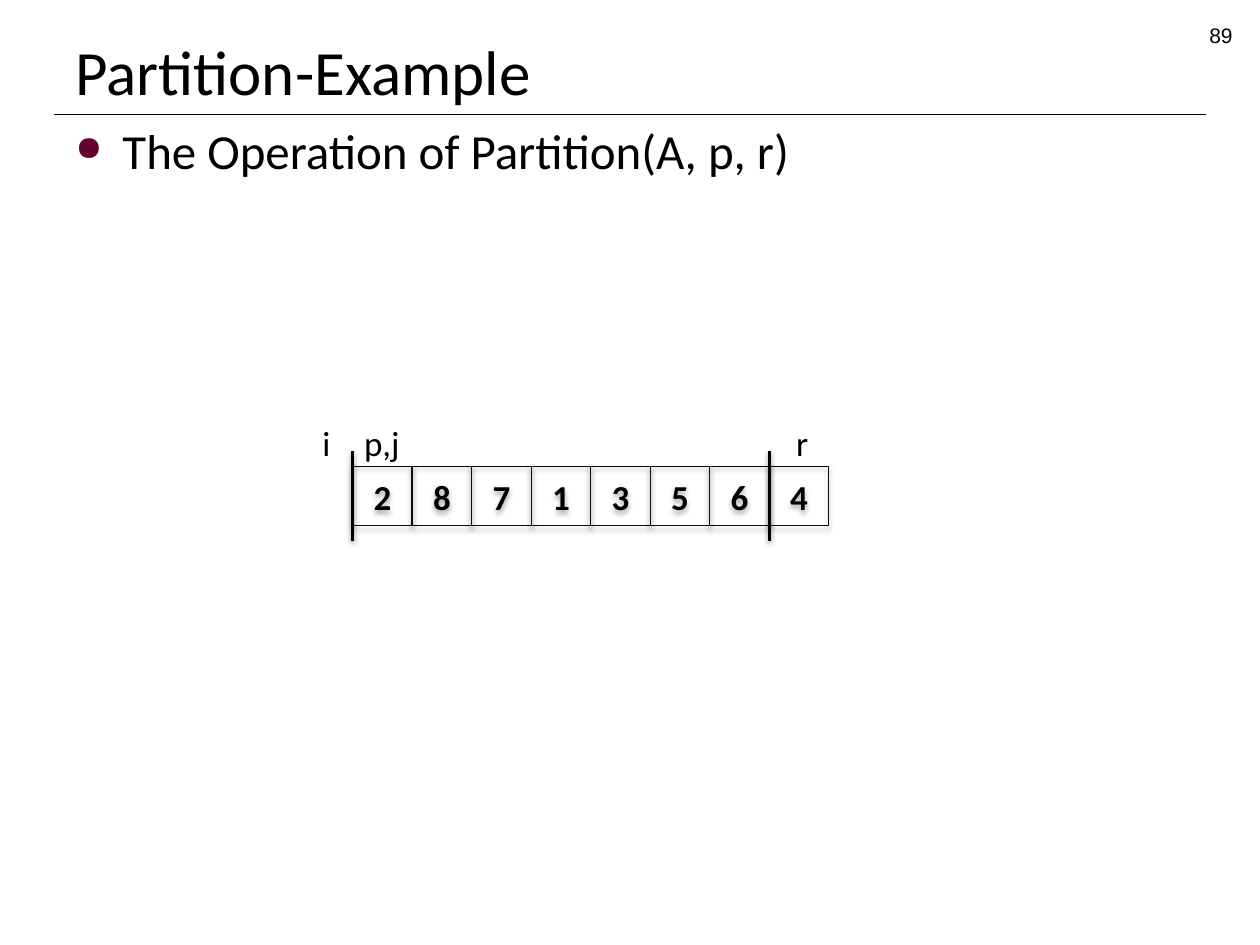
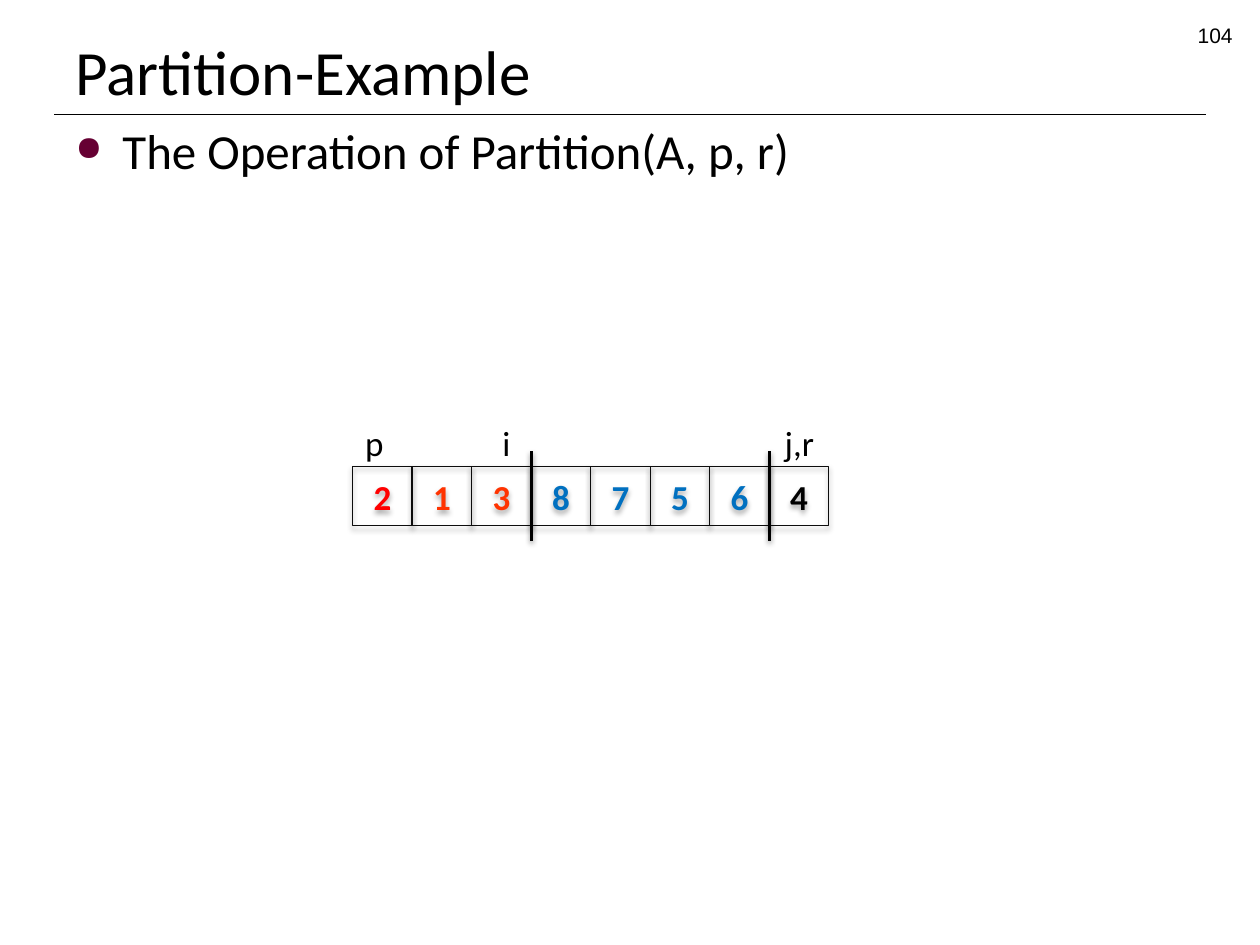
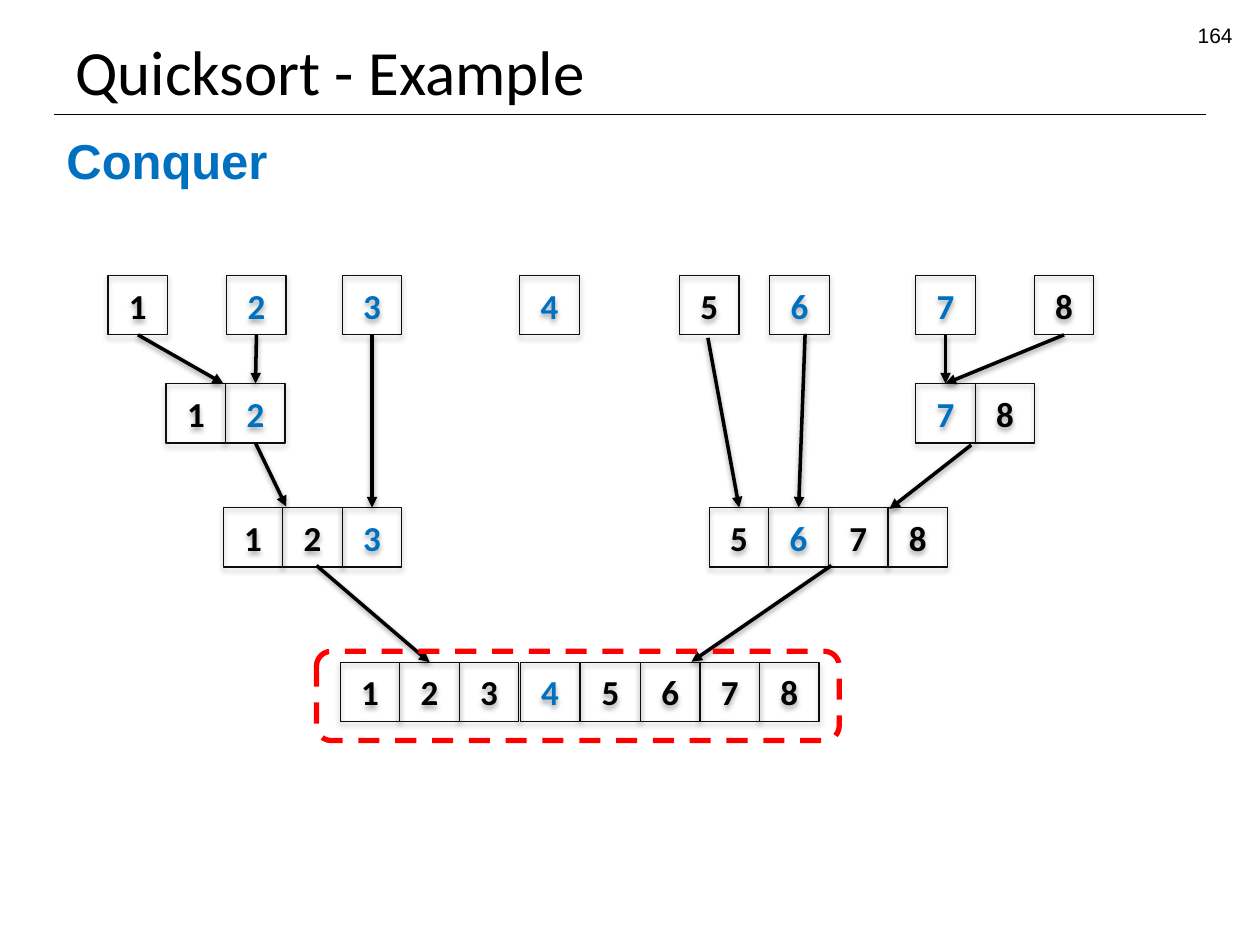
from lxml.etree import SubElement
from pptx import Presentation
from pptx.dml.color import RGBColor
from pptx.enum.dml import MSO_LINE
from pptx.enum.shapes import MSO_CONNECTOR as CONN, MSO_SHAPE as SHAPE
from pptx.enum.text import MSO_ANCHOR as ANCHOR, PP_ALIGN as ALIGN
from pptx.oxml.ns import qn
from pptx.util import Cm, Pt

COLORS = {
    "black": "000000",
    "edge": "0D0D0D",
    "blue": "0070C0",
    "red": "FF0000",
    "orange": "FF3300",
    "bullet": "660033",
}

PARTITION_TITLE = "Partition-Example"
PARTITION_BODY = "The Operation of Partition(A, p, r)"
PARTITIONS = [
    {
        "page": "89",
        "digits": "28713564",
        "colors": ["black"] * 8,
        "labels": [("i", 6.25, 0.69), ("p,j", 7.09, 1.24), ("r", 15.8, 0.76)],
        "bars": [0, 7],
    },
    {
        "page": "104",
        "digits": "21387564",
        "colors": ["red"] + ["orange"] * 2 + ["blue"] * 4 + ["black"],
        "labels": [("p", 7.11, 0.89), ("i", 9.88, 0.69), ("j,r", 15.57, 1.12)],
        "bars": [3, 7],
    },
]

QUICKSORT_TITLE = "Quicksort - Example"
QUICKSORT_PAGE = "164"
QUICKSORT_STEP = "Conquer"
LEVEL_TOPS = {"A": 5.55, "B": 7.73, "C": 10.23, "D": 13.35}
PIVOTS = {"A": "23467", "B": "27", "C": "36", "D": "4"}
RUNS = [
    ("A", "1", 2.18), ("A", "2", 4.57), ("A", "3", 6.9), ("A", "4", 10.48),
    ("A", "5", 13.7), ("A", "6", 15.52), ("A", "7", 18.46), ("A", "8", 20.85),
    ("B", "12", 3.35), ("B", "78", 18.46),
    ("C", "123", 4.5), ("C", "5678", 14.3),
    ("D", "123", 6.86), ("D", "4", 10.49), ("D", "5678", 11.71),
]
ARROWS = [
    ("A1", (4.5, 7.73)), ("A2", "B2"), ("B2", (5.77, 10.21)), ("A3", "C3"),
    ("A8", "B7"), ("A7", "B7"), ((16.23, 6.73), "C6"),
    ((19.58, 8.97), (17.93, 10.26)), ((14.27, 6.81), "C5"),
    ((6.38, 11.4), "D2"), ((16.76, 11.4), (13.94, 13.34)),
]

CELL = 1.2
ARRAY_LEFT, ARRAY_TOP = 7.11, 9.4
LABEL_TOP, LABEL_HEIGHT = 8.38, 1.12
BAR_TOP, BAR_BOTTOM = 9.1, 10.9
BOTTOM_SIDE, TOP_SIDE = 2, 0


def rgb(name):
    return RGBColor.from_string(COLORS[name])


def style_text(p, size, color="black", font="Calibri", bold=False):
    for r in p.runs:
        r.font.size = Pt(size)
        r.font.name = font
        r.font.bold = bold
        r.font.color.rgb = rgb(color)


def add_text(s, text, box, size, wrap=True, anchor=ANCHOR.TOP,
             align=ALIGN.LEFT, **style):
    tf = s.shapes.add_textbox(*map(Cm, box)).text_frame
    tf.word_wrap = wrap
    tf.vertical_anchor = anchor
    p = tf.paragraphs[0]
    p.text = text
    p.alignment = align
    style_text(p, size, **style)
    return p


def set_effects(sp, dist=None, alpha=None):
    effects = SubElement(sp._element.spPr, qn("a:effectLst"))
    if dist:
        shadow = SubElement(effects, qn("a:outerShdw"), blurRad="40000",
                            dist=str(dist), dir="5400000", rotWithShape="0")
        black = SubElement(shadow, qn("a:srgbClr"), val=COLORS["black"])
        SubElement(black, qn("a:alpha"), val=str(alpha * 1000))


def add_line(s, start, end, width, shadow=(), arrow=False):
    line = s.shapes.add_connector(CONN.STRAIGHT, *map(Cm, start + end))
    line.line.width = Pt(width)
    line.line.color.rgb = rgb("black")
    if arrow:
        SubElement(line.line._get_or_add_ln(), qn("a:tailEnd"), type="triangle")
    set_effects(line, *shadow)
    return line


def add_thick_line(s, start, end, arrow=False):
    return add_line(s, start, end, 2, (20000, 38), arrow)


def add_outline(s, shape, box, color, width):
    sp = s.shapes.add_shape(shape, *map(Cm, box))
    sp.fill.background()
    sp.line.color.rgb = rgb(color)
    sp.line.width = Pt(width)
    return sp


def add_cells(s, digits, colors, left, top):
    cells = []
    for i, (digit, color) in enumerate(zip(digits, colors)):
        box = (left + i * CELL, top, CELL, CELL)
        sp = add_outline(s, SHAPE.RECTANGLE, box, "edge", 0.75)
        set_effects(sp, 23000, 35)
        tf = sp.text_frame
        tf.word_wrap = False
        tf.vertical_anchor = ANCHOR.MIDDLE
        p = tf.paragraphs[0]
        p.text = digit
        p.alignment = ALIGN.CENTER
        style_text(p, 20, color, bold=True)
        cells.append(sp)
    return cells


def add_slide(prs, title, page):
    s = prs.slides.add_slide(prs.slide_layouts[6])
    add_line(s, (1.09, 2.31), (24.31, 2.31), 0.75)
    add_text(s, title, (1.27, 0.33, 22.86, 1.98), 36, anchor=ANCHOR.BOTTOM)
    add_text(s, page, (19.18, 0.33, 5.92, 0.71), 12, align=ALIGN.RIGHT, font="Arial")
    return s


def add_bullet(p):
    pPr = p._p.get_or_add_pPr()
    pPr.set("marL", str(Cm(0.95)))
    pPr.set("indent", str(-Cm(0.95)))
    color = SubElement(pPr, qn("a:buClr"))
    SubElement(color, qn("a:srgbClr"), val=COLORS["bullet"])
    SubElement(pPr, qn("a:buSzPct"), val="70000")
    SubElement(pPr, qn("a:buChar"), char="●")


def add_partition_slide(prs, part):
    s = add_slide(prs, PARTITION_TITLE, part["page"])
    add_bullet(add_text(s, PARTITION_BODY, (1.27, 2.31, 22.86, 16.7), 28))
    add_cells(s, part["digits"], part["colors"], ARRAY_LEFT, ARRAY_TOP)
    for i in part["bars"]:
        x = ARRAY_LEFT + i * CELL
        add_thick_line(s, (x, BAR_TOP), (x, BAR_BOTTOM))
    for text, left, width in part["labels"]:
        add_text(s, text, (left, LABEL_TOP, width, LABEL_HEIGHT), 20, wrap=False)


def add_arrow(s, cells, start, end):
    points = [(0, 0) if isinstance(e, str) else e for e in (start, end)]
    arrow = add_thick_line(s, *points, arrow=True)
    if start in cells:
        arrow.begin_connect(cells[start], BOTTOM_SIDE)
    if end in cells:
        arrow.end_connect(cells[end], TOP_SIDE)


def add_quicksort_slide(prs):
    s = add_slide(prs, QUICKSORT_TITLE, QUICKSORT_PAGE)
    cells = {}
    for level, digits, left in RUNS:
        colors = ["blue" if d in PIVOTS[level] else "black" for d in digits]
        row = add_cells(s, digits, colors, left, LEVEL_TOPS[level])
        cells.update((level + d, sp) for d, sp in zip(digits, row))
    for start, end in ARROWS:
        add_arrow(s, cells, start, end)
    frame = add_outline(s, SHAPE.ROUNDED_RECTANGLE, (6.38, 13.13, 10.54, 1.8), "red", 3)
    frame.line.dash_style = MSO_LINE.DASH
    frame.shadow.inherit = False
    add_text(s, QUICKSORT_STEP, (1.09, 2.51, 4.62, 1.45), 28, wrap=False,
             color="blue", font="Arial", bold=True)


def main():
    prs = Presentation()
    prs.slide_width, prs.slide_height = Cm(25.4), Cm(19.05)
    for part in PARTITIONS:
        add_partition_slide(prs, part)
    add_quicksort_slide(prs)
    prs.save("out.pptx")


if __name__ == "__main__":
    main()
